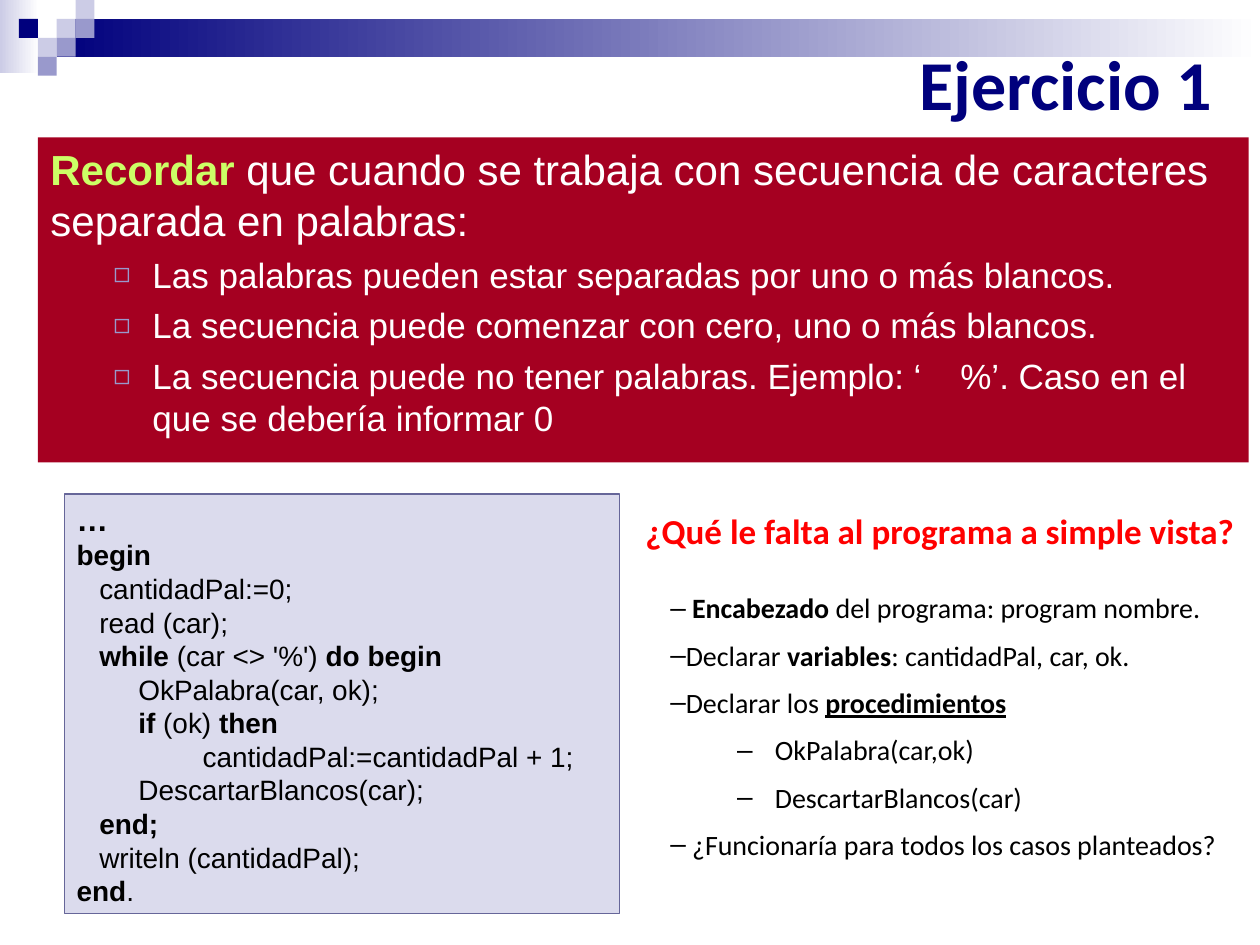
from dataclasses import dataclass

from lxml import etree
from pptx import Presentation
from pptx import util as u
from pptx.dml.color import RGBColor
from pptx.enum import shapes, text
from pptx.oxml.ns import qn


@dataclass(frozen=True)
class Theme:
    navy: str = "00007D"
    mid: str = "9999CC"
    pale: str = "CCCCE6"
    white: str = "FFFFFF"
    black: str = "000000"
    wine: str = "A50021"
    lime: str = "CCFF66"
    red: str = "FF0000"
    panel: str = "DBDBED"
    edge: str = "666699"
    sans: str = "Arial"
    head: str = "Calibri"
    title: int = 40
    lead: int = 24
    item: int = 20
    dots: int = 18
    body: int = 16


T = Theme()
LEFT, RIGHT = text.PP_ALIGN.LEFT, text.PP_ALIGN.RIGHT


def rgb(code):
    return RGBColor.from_string(code)


def place(shape, box):
    shape.left, shape.top, shape.width, shape.height = map(u.Inches, box)


def block(parent, box, color, fade=None):
    """Plain rectangle, fading from left to right when fade is given."""
    rect = parent.add_shape(shapes.MSO_SHAPE.RECTANGLE, *map(u.Inches, box))
    rect.shadow.inherit = False
    rect.line.fill.background()
    if fade:
        rect.fill.gradient()
        rect.fill.gradient_angle = 0
        for stop, code in zip(rect.fill.gradient_stops, (color, fade)):
            stop.color.rgb = rgb(code)
    else:
        rect.fill.solid()
        rect.fill.fore_color.rgb = rgb(color)
    return rect


def frame(shape, anchor):
    body = shape.text_frame
    body.word_wrap = True
    body.auto_size = text.MSO_AUTO_SIZE.NONE
    body.vertical_anchor = anchor
    body.margin_left = body.margin_right = u.Inches(0.1)
    body.margin_top = body.margin_bottom = u.Inches(0.05)
    return body


def fill(body, lines):
    """Write the lines with their asterisks taken as bold marks."""
    body.text = "\n".join(line.replace("*", "") for line in lines)
    for para, line in zip(body.paragraphs, lines):
        para.text = ""
        for i, part in enumerate(line.split("*")):
            if part:
                run = para.add_run()
                run.text = part
                run.font.bold = i % 2 == 1


def style(para, font, size, color, before=0, level=0, align=LEFT):
    para.level, para.alignment = level, align
    para.space_before = u.Pt(before)
    for run in para.runs:
        run.font.name, run.font.size = font, u.Pt(size)
        run.font.color.rgb = rgb(color)


def indent(para, left=0, first=0, mark=None, color=T.black, scale=100):
    """Set the indents and the bullet; no mark means no bullet."""
    props = para._p.get_or_add_pPr()
    props.set("marL", str(u.Inches(left)))
    props.set("indent", str(u.Inches(first)))
    if not mark:
        etree.SubElement(props, qn("a:buNone"))
        return
    tint = etree.SubElement(props, qn("a:buClr"))
    etree.SubElement(tint, qn("a:srgbClr"), val=color)
    etree.SubElement(props, qn("a:buSzPct"), val=str(scale * 1000))
    etree.SubElement(props, qn("a:buFont"), typeface=T.sans)
    etree.SubElement(props, qn("a:buChar"), char=mark)


def banner(slide, box):
    """Fading bars and small squares along the top edge."""
    x, y, w, h = box
    group = slide.shapes.add_group_shape()
    block(group.shapes, (x, y, 0.31, 0.58), T.pale, T.white)
    block(group.shapes, (x + 0.45, y + 0.15, w - 0.45, 0.3), T.navy, T.white)
    side = h / 4
    squares = ((3, 1, T.pale), (4, 0, T.pale), (4, 1, T.mid), (2, 2, T.pale),
               (1, 1, T.navy), (3, 2, T.mid), (2, 3, T.mid))
    for col, row, color in squares:
        block(group.shapes, (x + col * side, y + row * side, side, side), color)
    # Send the banner behind the placeholders
    group.element.getparent().insert(2, group.element)


def heading(shape, box):
    place(shape, box)
    body = frame(shape, text.MSO_ANCHOR.BOTTOM)
    body.margin_bottom = u.Inches(0.1)
    fill(body, ["*Ejercicio 1*"])
    style(body.paragraphs[0], T.head, T.title, T.navy, align=RIGHT)


def recall(shape, box):
    """Wine panel with the reminder and its list."""
    place(shape, box)
    shape.fill.solid()
    shape.fill.fore_color.rgb = rgb(T.wine)
    body = frame(shape, text.MSO_ANCHOR.TOP)
    fill(body, [
        "*Recordar* que cuando se trabaja con secuencia de caracteres separada en palabras:",
        "Las palabras pueden estar separadas por uno o más blancos.",
        "La secuencia puede comenzar con cero, uno o más blancos.",
        "La secuencia puede no tener palabras. Ejemplo: ‘    %’. Caso en el que se debería informar 0",
    ])
    lead, *items = body.paragraphs
    style(lead, T.sans, T.lead, T.white, before=6)
    lead.runs[0].font.color.rgb = rgb(T.lime)
    indent(lead)
    for para in items:
        style(para, T.sans, T.item, T.white, before=5, level=1)
        indent(para, 0.81, -0.31, "◻", T.mid, 80)


def review(shape, box):
    """Question and the list of missing parts."""
    place(shape, box)
    body = frame(shape, text.MSO_ANCHOR.TOP)
    items = (
        (1, " *Encabezado* del programa: program nombre."),
        (1, "Declarar *variables*: cantidadPal, car, ok."),
        (1, "Declarar los *procedimientos*"),
        (2, " OkPalabra(car,ok)"),
        (2, " DescartarBlancos(car)"),
        (1, " ¿Funcionaría para todos los casos planteados?"),
    )
    fill(body, ["*¿Qué le falta al programa a simple vista?*"] + [line for _, line in items])
    ask, *paras = body.paragraphs
    style(ask, T.head, T.item, T.red, before=5, align=text.PP_ALIGN.CENTER)
    indent(ask)
    for i, (para, (level, _)) in enumerate(zip(paras, items)):
        style(para, T.head, T.body, T.black, before=4 if i else 19, level=level)
        para.line_spacing = 1.2
        indent(para, *((0.29, 0.01) if level == 1 else (1.08, -0.25)), mark="–")
    paras[2].runs[-1].font.underline = True


def code(slide, box):
    """Program listing; each line has its left indent in inches."""
    panel = block(slide.shapes, box, T.panel)
    panel.line.color.rgb = rgb(T.edge)
    panel.line.width = u.Pt(0.75)
    body = frame(panel, text.MSO_ANCHOR.MIDDLE)
    lines = (
        (0, "*…*"),
        (0, "*begin*"),
        (0.18, "cantidadPal:=0;"),
        (0.18, "read (car);"),
        (0.18, "*while *(car <> '%') *do begin*"),
        (0.49, "OkPalabra(car, ok);"),
        (0.49, "*if* (ok) *then*"),
        (1, "cantidadPal:=cantidadPal + 1;"),
        (0.49, "DescartarBlancos(car);"),
        (0.18, "*end;*"),
        (0.18, "writeln (cantidadPal);"),
        (0, "*end*."),
    )
    fill(body, [line for _, line in lines])
    for i, (para, (left, _)) in enumerate(zip(body.paragraphs, lines)):
        style(para, T.sans, T.body if i else T.dots, T.black)
        indent(para, left)


def main():
    deck = Presentation()
    deck.slide_width, deck.slide_height = u.Inches(10), u.Inches(7.5)
    slide = deck.slides.add_slide(deck.slide_layouts.get_by_name("Two Content"))
    title, upper, lower = list(slide.placeholders)[:3]
    banner(slide, (0, 0, 10, 0.6))
    heading(title, (0.62, 0.36, 9.1, 0.73))
    recall(upper, (0.3, 1.09, 9.61, 2.58))
    review(lower, (4.92, 3.99, 5.08, 3.23))
    code(slide, (0.51, 3.92, 4.41, 3.33))
    deck.save("out.pptx")


if __name__ == "__main__":
    main()
